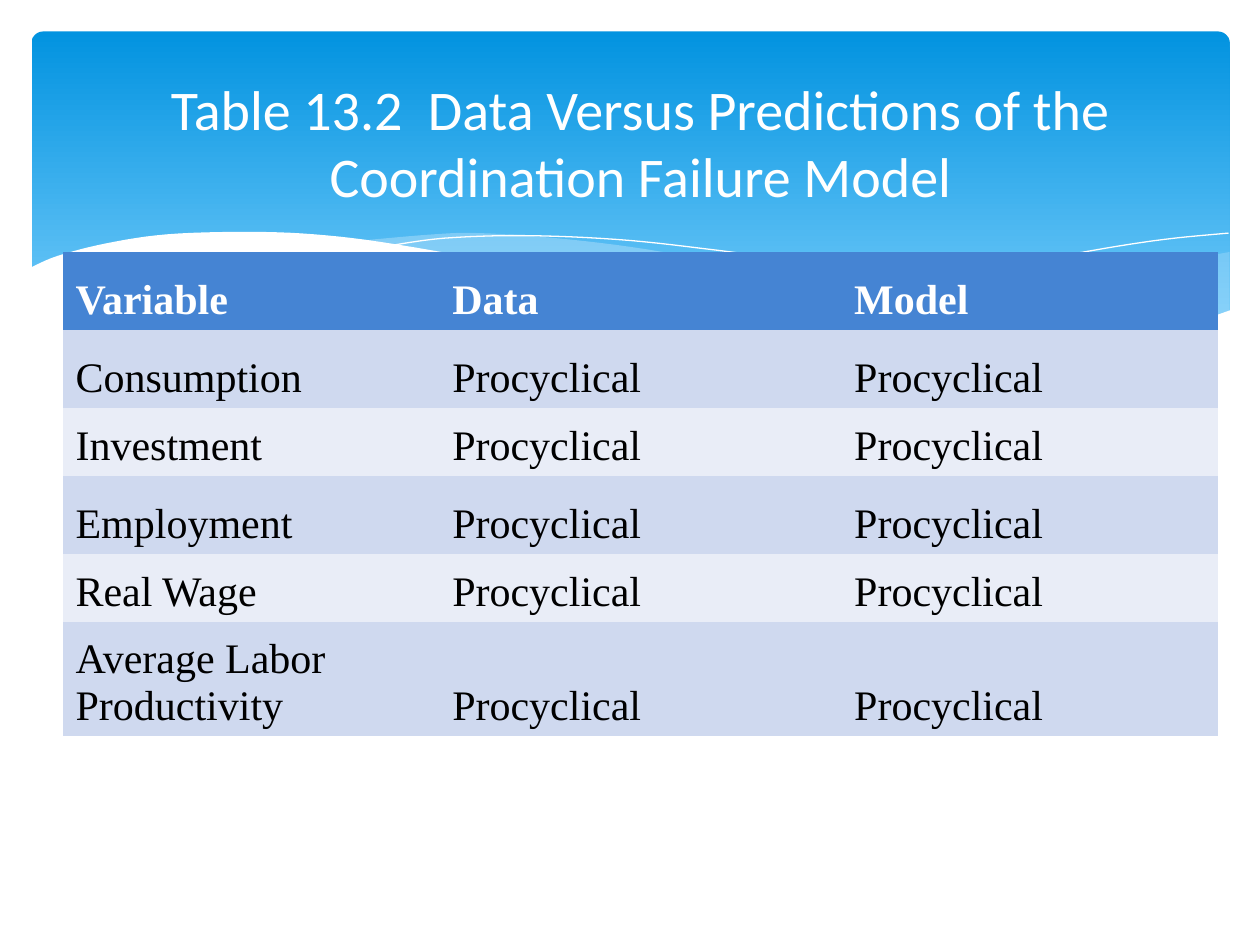
from lxml import etree
from pptx import Presentation
from pptx.dml.color import RGBColor
from pptx.enum.shapes import MSO_SHAPE
from pptx.enum.text import MSO_ANCHOR, PP_ALIGN
from pptx.oxml.ns import qn
from pptx.util import Inches, Pt

ROUND_RECT = MSO_SHAPE.ROUNDED_RECTANGLE
MIDDLE, BOTTOM = MSO_ANCHOR.MIDDLE, MSO_ANCHOR.BOTTOM
CENTER, LEFT = PP_ALIGN.CENTER, PP_ALIGN.LEFT
PLAIN_TABLE = "{2D5ABB26-0587-4C30-8999-92F81FD0307C}"

# Layout in inches; the title and the table share one column
SLIDE_W, SLIDE_H = 10, 7.5
BANNER = (0.25, 0.25, 9.51, 2.7)
COL_WIDTHS = (2.99, 3.19, 2.99)
CONTENT_X, CONTENT_W = SLIDE_W * 0.05, sum(COL_WIDTHS)
TITLE_Y, TITLE_H = 0.5, 1.25
TABLE_Y = 2
TALL, SHORT, TWO_LINES = 0.62, 0.54, 0.9

WHITE, BLACK, PALE_BLUE = "FFFFFF", "000000", "C6E7FC"
BANNER_TOP, BANNER_FOOT = "0293E0", "83D3FE"
HEADER_FILL, BANDS = "4584D3", ("CFD9EF", "E9EDF7")

TITLE = {"name": "Calibri", "size": Pt(32)}
BODY = {"name": "Times New Roman", "size": Pt(24), "bold": False}
HEADER = {**BODY, "bold": True}

TITLE_TEXT = "Table 13.2  Data Versus Predictions of the Coordination Failure Model"
COLUMNS = ("Variable", "Data", "Model")
CYCLE = "Procyclical"
VARIABLES = (
    ("Consumption", TALL),
    ("Investment", SHORT),
    ("Employment", TALL),
    ("Real Wage", SHORT),
    ("Average Labor Productivity", TWO_LINES),
)

# Each edge is a few knots in inches, joined by a smooth curve
STEPS = 6
RIGHT_TOP = [(6.61, 2.65), (7.53, 2.48), (8.32, 2.3), (9.06, 2.13), (9.76, 2)]
RIGHT_FOOT = [(9.76, 2.47), (9.35, 2.62), (8.81, 2.73), (8.14, 2.78), (7.45, 2.75),
              (6.61, 2.65)]
MIDDLE_TOP = [(2.86, 1.91), (3.44, 1.86), (3.8, 1.85), (4.41, 1.89), (5.14, 1.98),
              (5.98, 2.14), (6.68, 2.31), (7.41, 2.47), (8.07, 2.6), (8.93, 2.73)]
MIDDLE_FOOT = [(8.93, 2.73), (8.28, 2.78), (7.85, 2.78), (7.22, 2.74), (6.5, 2.64),
               (5.66, 2.48), (4.49, 2.22), (3.83, 2.07), (2.86, 1.91)]
FRONT_TOP = [(9.77, 2.46), (9.2, 2.65), (8.63, 2.74), (8.09, 2.77), (7.26, 2.72),
             (6.26, 2.58), (5.29, 2.39), (4.18, 2.13), (3.15, 1.94), (2.5, 1.86),
             (1.93, 1.84), (1.32, 1.86), (0.85, 1.93), (0.46, 2.03), (0.23, 2.13)]
FRONT_FOOT = [(0.23, 3.29), (9.77, 3.29)]
LEFT_CREST = [(3.09, 1.95), (3.53, 1.89), (4.16, 1.87), (4.89, 1.9), (5.56, 1.97),
              (6.36, 2.08), (7.27, 2.26), (8.31, 2.51), (9.07, 2.72)]
RIGHT_CREST = [(6.13, 2.57), (6.95, 2.35), (7.76, 2.16), (8.66, 1.99), (9.24, 1.9),
               (9.75, 1.85)]

# Edges, fill and opacity in percent
BACK_WAVES = (
    ((RIGHT_TOP, RIGHT_FOOT), PALE_BLUE, 29),
    ((MIDDLE_TOP, MIDDLE_FOOT), PALE_BLUE, 40),
)
FRONT_WAVE = ((FRONT_TOP, FRONT_FOOT), WHITE, 100)


def rgb(hex_color):
    return RGBColor.from_string(hex_color)


def paint(fill, color):
    fill.solid()
    fill.fore_color.rgb = rgb(color)


def inches(*lengths):
    return [Inches(length) for length in lengths]


def write(tf, text, fmt, color, align=LEFT):
    p = tf.paragraphs[0]
    p.alignment = align
    r = p.add_run()
    r.text = text
    for name, value in fmt.items():
        setattr(r.font, name, value)
    r.font.color.rgb = rgb(color)


def smooth(knots):
    """Return points on a Catmull-Rom curve through the knots."""
    padded = [knots[0], *knots, knots[-1]]
    points = [knots[0]]
    for span in zip(padded, padded[1:], padded[2:], padded[3:]):
        for step in range(1, STEPS + 1):
            t = step / STEPS
            points.append(tuple(
                b + t * (c - a) / 2
                + t ** 2 * (2 * a - 5 * b + 4 * c - d) / 2
                + t ** 3 * (3 * b - a - 3 * c + d) / 2
                for a, b, c, d in zip(*span)))
    return points


def add_outline(s, edges, closed):
    points = [inches(*point) for edge in edges for point in smooth(edge)]
    builder = s.shapes.build_freeform(*points[0])  # one unit is one EMU
    builder.add_line_segments(points[1:], close=closed)
    sp = builder.convert_to_shape()
    sp.shadow.inherit = False
    return sp


def add_wave(s, edges, color, opacity):
    sp = add_outline(s, edges, True)
    sp.line.fill.background()
    paint(sp.fill, color)
    if opacity < 100:
        clr = sp._element.spPr.find(".//" + qn("a:srgbClr"))
        etree.SubElement(clr, qn("a:alpha")).set("val", str(opacity * 1000))


def add_crest(s, knots):
    """Add a white hairline along a wave."""
    sp = add_outline(s, [knots], False)
    sp.fill.background()
    sp.line.color.rgb = rgb(WHITE)
    sp.line.width = Pt(0)


def add_banner(s):
    sp = s.shapes.add_shape(ROUND_RECT, *inches(*BANNER))
    sp.adjustments[0] = 0.034
    sp.shadow.inherit = False
    sp.line.fill.background()
    sp.fill.gradient()
    sp.fill.gradient_angle = 270
    for i, color in enumerate((BANNER_TOP, BANNER_FOOT)):
        stop = sp.fill.gradient_stops[i]
        stop.position = i
        stop.color.rgb = rgb(color)


def add_title(s):
    tf = s.shapes.add_textbox(*inches(CONTENT_X, TITLE_Y, CONTENT_W, TITLE_H)).text_frame
    tf.word_wrap = True
    tf.vertical_anchor = MIDDLE
    write(tf, TITLE_TEXT, TITLE, WHITE, CENTER)


def fill_row(row, height, texts, fill, fmt, color):
    row.height = Inches(height)
    for cell, text in zip(row.cells, texts):
        paint(cell.fill, fill)
        cell.vertical_anchor = BOTTOM
        write(cell.text_frame, text, fmt, color)


def add_comparison_table(s):
    height = TALL + sum(row_height for _, row_height in VARIABLES)
    table = s.shapes.add_table(len(VARIABLES) + 1, len(COLUMNS), *inches(
        CONTENT_X, TABLE_Y, CONTENT_W, height)).table
    table._tbl.tblPr.find(qn("a:tableStyleId")).text = PLAIN_TABLE
    for col, width in zip(table.columns, COL_WIDTHS):
        col.width = Inches(width)
    fill_row(table.rows[0], TALL, COLUMNS, HEADER_FILL, HEADER, WHITE)
    for i, (variable, row_height) in enumerate(VARIABLES):
        fill_row(table.rows[i + 1], row_height, (variable, CYCLE, CYCLE),
                 BANDS[i % 2], BODY, BLACK)


def main():
    prs = Presentation()
    prs.slide_width, prs.slide_height = inches(SLIDE_W, SLIDE_H)
    s = prs.slides.add_slide(prs.slide_layouts[6])
    add_banner(s)
    for wave in BACK_WAVES:
        add_wave(s, *wave)
    for crest in (LEFT_CREST, RIGHT_CREST):
        add_crest(s, crest)
    add_wave(s, *FRONT_WAVE)
    add_title(s)
    add_comparison_table(s)
    prs.save("out.pptx")


if __name__ == "__main__":
    main()
